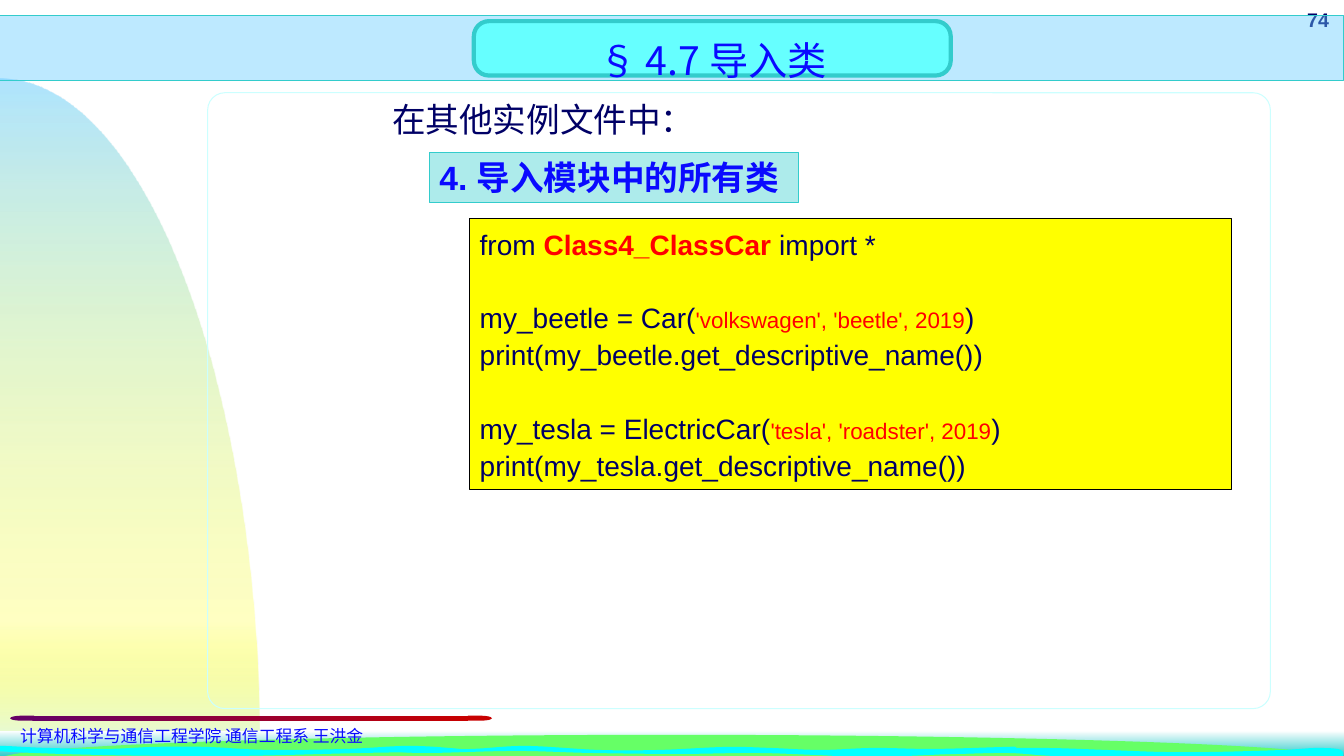
from dataclasses import dataclass
from typing import Optional

from lxml import etree
from pptx import Presentation
from pptx.dml.color import RGBColor
from pptx.enum.shapes import MSO_SHAPE
from pptx.enum.text import MSO_ANCHOR, PP_ALIGN
from pptx.oxml.ns import qn
from pptx.util import Inches, Pt

RECT, ROUND, DELAY = (MSO_SHAPE.RECTANGLE, MSO_SHAPE.ROUNDED_RECTANGLE,
                      MSO_SHAPE.FLOWCHART_DELAY)
LEFT, CENTER, RIGHT = PP_ALIGN.LEFT, PP_ALIGN.CENTER, PP_ALIGN.RIGHT
TOP, MIDDLE = MSO_ANCHOR.TOP, MSO_ANCHOR.MIDDLE

NAVY = RGBColor(0x00, 0x00, 0x66)
BLUE = RGBColor(0x0A, 0x0A, 0xFF)
RED = RGBColor(0xFF, 0x00, 0x00)
BLACK = RGBColor(0x00, 0x00, 0x00)
WHITE = RGBColor(0xFF, 0xFF, 0xFF)
YELLOW = RGBColor(0xFF, 0xFF, 0x00)
SKY = RGBColor(0x66, 0xCC, 0xFF)
TEAL = RGBColor(0x33, 0xCC, 0xCC)
AQUA = RGBColor(0x66, 0xFF, 0xFF)
PALE_TEAL = RGBColor(0xAD, 0xEB, 0xEB)
PALE_CYAN = RGBColor(0xCC, 0xFF, 0xFF)
MIST = RGBColor(0xDF, 0xF9, 0xF9)
CYAN = RGBColor(0x00, 0xFF, 0xFF)
GREEN = RGBColor(0x66, 0xFF, 0x66)
PURPLE = RGBColor(0x66, 0x00, 0x66)
CRIMSON = RGBColor(0xC8, 0x00, 0x00)
LATIN, CJK = "Arial", "Noto Sans CJK SC"

Point = tuple[float, float]
Segment = list[Point]  # one end point, or two control points and an end point


@dataclass
class Stop:
    position: int
    color: RGBColor
    opacity: int = 100


@dataclass
class Run:
    text: str
    size: float = 20
    color: RGBColor = NAVY
    bold: bool = False
    font: str = LATIN


@dataclass
class Panel:
    left: float
    top: float
    width: float
    height: float
    preset: MSO_SHAPE = RECT
    fill: Optional[RGBColor] = None
    line: Optional[RGBColor] = None
    weight: float = 0.75
    corner: Optional[float] = None


prs = Presentation()
prs.slide_width, prs.slide_height = Inches(13.33), Inches(7.5)
slide = prs.slides.add_slide(prs.slide_layouts[6])


def set_opacity(color_element, percent: int) -> None:
    etree.SubElement(color_element, qn("a:alpha")).set("val", str(percent * 1000))


def set_gradient(shape, stops: list[Stop], angle: int) -> None:
    shape.fill.gradient()
    gradient = shape._element.spPr.find(qn("a:gradFill"))
    stop_list = gradient.find(qn("a:gsLst"))
    for old in list(stop_list):
        stop_list.remove(old)
    for stop in stops:
        entry = etree.SubElement(stop_list, qn("a:gs"), pos=str(stop.position * 1000))
        color = etree.SubElement(entry, qn("a:srgbClr"), val=str(stop.color))
        if stop.opacity < 100:
            set_opacity(color, stop.opacity)
    gradient.find(qn("a:lin")).set("ang", str(angle * 60000))


def paint(shape, fill: Optional[RGBColor], line: Optional[RGBColor], weight: float) -> None:
    shape.shadow.inherit = False
    if fill is None:
        shape.fill.background()
    else:
        shape.fill.solid()
        shape.fill.fore_color.rgb = fill
    if line is None:
        shape.line.fill.background()
    else:
        shape.line.color.rgb = line
        shape.line.width = Pt(weight)


def add_panel(panel: Panel):
    shape = slide.shapes.add_shape(panel.preset, Inches(panel.left), Inches(panel.top),
                                   Inches(panel.width), Inches(panel.height))
    if panel.corner is not None:
        shape.adjustments[0] = panel.corner
    paint(shape, panel.fill, panel.line, panel.weight)
    return shape


def add_outline(start: Point, segments: list[Segment], fill: Optional[RGBColor] = None):
    """Closed freeform; segments with control points become Bezier curves."""
    builder = slide.shapes.build_freeform(Inches(start[0]), Inches(start[1]))
    builder.add_line_segments([(Inches(s[-1][0]), Inches(s[-1][1])) for s in segments])
    shape = builder.convert_to_shape()
    for straight, points in zip(list(shape._element.iter(qn("a:lnTo"))), segments):
        if len(points) == 3:
            curve = etree.Element(qn("a:cubicBezTo"))
            for x, y in points:
                etree.SubElement(curve, qn("a:pt"), x=str(Inches(x) - shape.left),
                                 y=str(Inches(y) - shape.top))
            straight.getparent().replace(straight, curve)
    paint(shape, fill, None, 0)
    return shape


def smooth_loop(anchors: list[Point]) -> list[Segment]:
    """Curves through the anchors and back to the first one."""
    segments = []
    for i in range(len(anchors)):
        before, here, there, after = (anchors[(i + k) % len(anchors)] for k in (-1, 0, 1, 2))
        segments.append([
            (here[0] + (there[0] - before[0]) / 6, here[1] + (there[1] - before[1]) / 6),
            (there[0] - (after[0] - here[0]) / 6, there[1] - (after[1] - here[1]) / 6),
            there])
    return segments


def write(shape, lines: list[list[Run]], *, align=LEFT, anchor=TOP, spacing: float = 1.0,
          gaps: Optional[dict[int, float]] = None) -> None:
    frame = shape.text_frame
    frame.word_wrap = True
    frame.vertical_anchor = anchor
    for index, runs in enumerate(lines):
        paragraph = frame.paragraphs[0] if index == 0 else frame.add_paragraph()
        paragraph.alignment = align
        paragraph.line_spacing = spacing
        if gaps and index in gaps:
            paragraph.space_before = Pt(gaps[index])
        for item in runs:
            run = paragraph.add_run()
            run.text = item.text
            run.font.size, run.font.bold = Pt(item.size), item.bold
            run.font.name, run.font.color.rgb = item.font, item.color
            etree.SubElement(run._r.get_or_add_rPr(), qn("a:ea"), typeface=CJK)


def add_text(left: float, top: float, width: float, height: float, run: Run, **layout) -> None:
    box = slide.shapes.add_textbox(Inches(left), Inches(top), Inches(width), Inches(height))
    write(box, [[run]], **layout)


# Hill on the left and shore along the bottom
hill = add_outline((0, 0.78), [[(1.42, 0.78), (2.57, 3.79), (2.57, 7.5)], [(0, 7.5)], [(0, 0.78)]])
set_gradient(hill, [Stop(0, SKY, 52), Stop(80, YELLOW, 23), Stop(100, MIST)], 90)
shore = add_panel(Panel(0, 7.25, 13.33, 0.25))
set_gradient(shore, [Stop(0, WHITE), Stop(100, TEAL)], 90)
add_outline((0, 7.53), [[(0, 7.4), (2.98, 7.29), (6.66, 7.29)],
                        [(10.34, 7.29), (13.32, 7.4), (13.32, 7.53)], [(0, 7.53)]], GREEN)

WAVES = [
    [(9.7, 7.43), (10.36, 7.42), (10.97, 7.44), (11.53, 7.46), (12.03, 7.46), (12.73, 7.44),
     (13.06, 7.42), (13.3, 7.44), (13.29, 7.53), (13.09, 7.51), (12.57, 7.51), (12.07, 7.5),
     (11.33, 7.52), (10.46, 7.5), (9.99, 7.47), (9.37, 7.48)],
    [(10.07, 7.41), (10.03, 7.45), (9.44, 7.48), (8.64, 7.51), (8.09, 7.49), (7.49, 7.47),
     (6.73, 7.48), (5.85, 7.47), (5.12, 7.45), (4.28, 7.47), (3.98, 7.46), (4.14, 7.44),
     (4.68, 7.43), (5.22, 7.4), (5.94, 7.44), (6.54, 7.44), (7.2, 7.41), (7.64, 7.42),
     (8.14, 7.44), (8.67, 7.42), (9.26, 7.43), (9.97, 7.41)],
    [(4.34, 7.46), (3.62, 7.47), (2.3, 7.5), (0.98, 7.49), (-0.04, 7.45), (-0.04, 7.4),
     (0.45, 7.42), (1.06, 7.43), (1.53, 7.41), (2.04, 7.41), (2.66, 7.44), (3.44, 7.43),
     (4.03, 7.4), (4.45, 7.42), (4.67, 7.45)],
]
for wave in WAVES:
    add_outline(wave[0], smooth_loop(wave), CYAN)

# Page number, content frame and footer
add_text(12.44, 0.03, 0.84, 0.33, Run("74", 14, bold=True), align=RIGHT)
add_panel(Panel(2.06, 0.92, 10.54, 6.11, ROUND, line=PALE_CYAN, corner=0.028))
footer_bar = add_panel(Panel(0.32, 7.1, 4.32, 0.05, ROUND, corner=0))
set_gradient(footer_bar, [Stop(0, PURPLE), Stop(100, CRIMSON)], 0)
left_cap = add_panel(Panel(0.1, 7.1, 0.24, 0.05, DELAY, PURPLE))
left_cap._element.spPr.xfrm.set("flipH", "1")
add_panel(Panel(4.64, 7.1, 0.24, 0.05, DELAY, CRIMSON))
add_text(0.1, 7.15, 4.88, 0.3, Run("计算机科学与通信工程学院 通信工程系 王洪金", 12, BLUE))

# Title band
band = add_panel(Panel(0, 0.15, 13.33, 0.65, fill=SKY, line=TEAL))
set_opacity(band._element.spPr.find(qn("a:solidFill"))[0], 43)
title = add_panel(Panel(4.7, 0.21, 4.73, 0.54, ROUND, AQUA, TEAL, 3, 0.277))
write(title, [[Run("§ 4.7 导入类", 28, BLUE, font=CJK)]],
      align=CENTER, anchor=MIDDLE, spacing=1.5)

# Heading, introduction and code
heading = add_panel(Panel(4.26, 1.51, 3.66, 0.5, fill=PALE_TEAL, line=TEAL))
write(heading, [[Run("4. 导入模块中的所有类", 24, BLUE, True)]])
add_text(3.79, 0.93, 7.44, 0.5, Run("在其他实例文件中：", 24))
code = add_panel(Panel(4.66, 2.17, 7.56, 2.69, fill=YELLOW, line=BLACK))
write(code, [
    [Run("from "), Run("Class4_ClassCar ", color=RED, bold=True), Run("import *")],
    [Run("my_beetle = Car("), Run("'volkswagen', 'beetle', 2019", 16, RED), Run(")")],
    [Run("print(my_beetle.get_descriptive_name())")],
    [Run("my_tesla = ElectricCar("), Run("'tesla', 'roadster', 2019", 16, RED), Run(")")],
    [Run("print(my_tesla.get_descriptive_name())")],
], spacing=1.1, gaps={1: 26.4, 3: 26.4})

prs.save("out.pptx")
